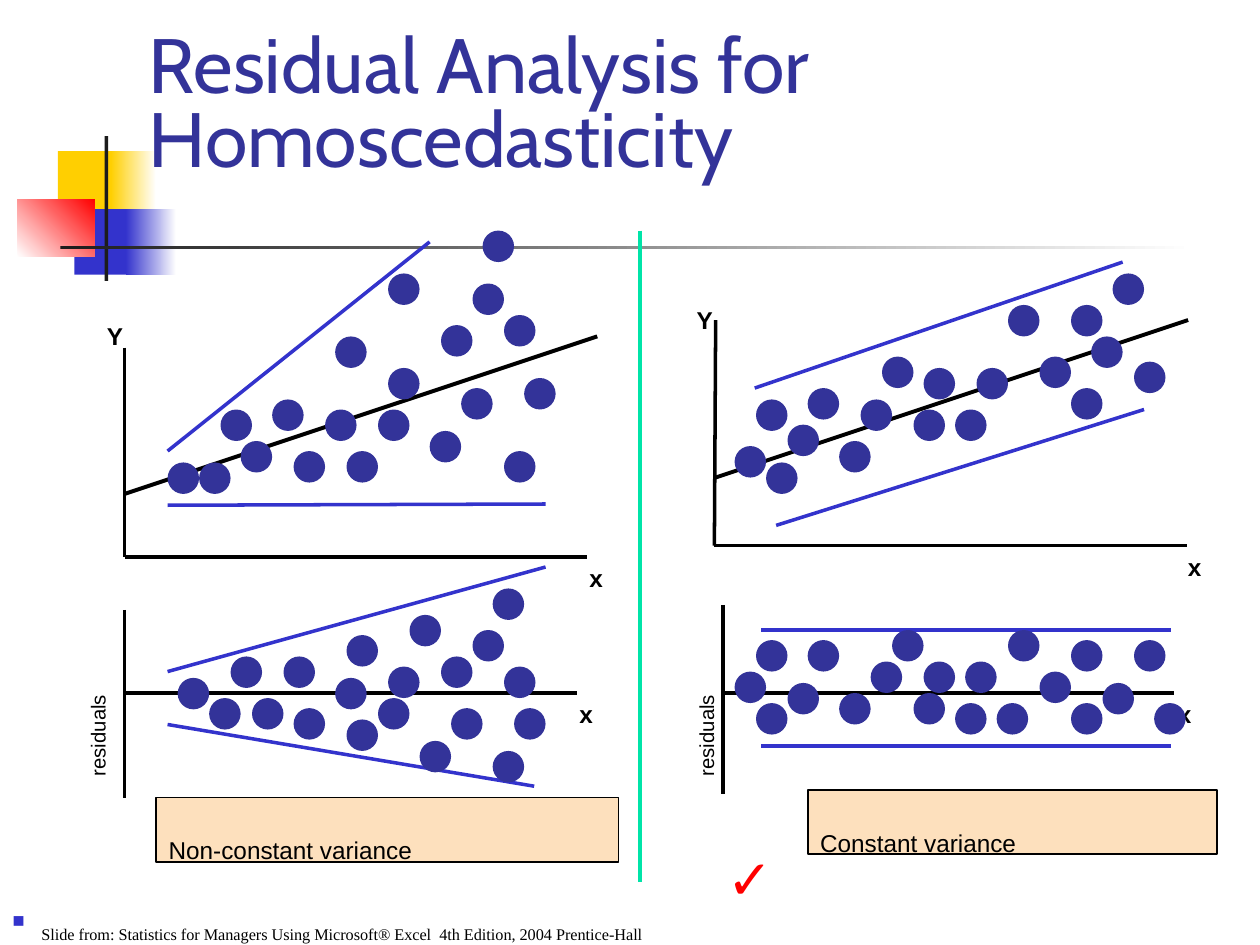
import pptx
import pptx.util
import pptx.dml.color
import pptx.enum.shapes
import pptx.enum.text
import lxml.etree
import pptx.oxml.ns

PX = 9144
DOT = 25
COLORS = {
    "gold": "FFCF01", "blue": "3333CC", "red": "FF0000", "white": "FFFFFF",
    "ink": "1C1C1C", "navy": "333399", "black": "000000", "peach": "FDE0BD",
    "mint": "00E4A8",
}
RGB = {name: pptx.dml.color.RGBColor.from_string(value) for name, value in COLORS.items()}
RECTANGLE = pptx.enum.shapes.MSO_SHAPE.RECTANGLE
OVAL = pptx.enum.shapes.MSO_SHAPE.OVAL
qn = pptx.oxml.ns.qn

deck = pptx.Presentation()
deck.slide_width = 1000 * PX
deck.slide_height = 750 * PX
slide = deck.slides.add_slide(deck.slide_layouts[5])
shapes = slide.shapes


def draw_line(x1, y1, x2, y2, color, width=2):
    line = shapes.add_connector(
        pptx.enum.shapes.MSO_CONNECTOR.STRAIGHT, x1 * PX, y1 * PX, x2 * PX, y2 * PX)
    line.line.color.rgb = RGB[color]
    line.line.width = pptx.util.Pt(width)
    lxml.etree.SubElement(line.element.spPr, qn("a:effectLst"))


def write(holder, text, size, color="black", bold=False, font="Arial"):
    frame = holder.text_frame
    frame.word_wrap = True
    frame.vertical_anchor = pptx.enum.text.MSO_ANCHOR.TOP
    paragraph = frame.paragraphs[0]
    paragraph.alignment = pptx.enum.text.PP_ALIGN.LEFT
    run = paragraph.add_run()
    run.text = text
    run.font.size = pptx.util.Pt(size)
    run.font.name = font
    run.font.bold = bold
    run.font.color.rgb = RGB[color]
    run.font._element.set("baseline", "-33000")
    return paragraph


for left, top, width, height, start, end in [
    (46, 120, 48, 52, "gold", "gold"),
    (88, 120, 36, 52, "gold", "white"),
    (59, 166, 46, 52, "blue", "blue"),
    (100, 166, 40, 52, "blue", "white"),
    (14, 158, 61, 46, "white", "red"),
    (83, 108, 3, 115, "ink", "ink"),
    (48, 195, 900, 3, "ink", "white"),
]:
    ornament = shapes.add_shape(RECTANGLE, left * PX, top * PX, width * PX, height * PX)
    ornament.shadow.inherit = False
    ornament.line.fill.background()
    if start == end:
        ornament.fill.solid()
        ornament.fill.fore_color.rgb = RGB[start]
    else:
        ornament.fill.gradient()
        ornament.fill.gradient_angle = 45 if end == "red" else 0
        for position, color in enumerate((start, end)):
            stop = ornament.fill.gradient_stops[position]
            stop.color.rgb = RGB[color]
            stop.position = position

title = shapes.title
shapes.element.append(title.element)
title.left, title.top, title.width, title.height = 108 * PX, 33 * PX, 852 * PX, 117 * PX
title.text_frame.vertical_anchor = pptx.enum.text.MSO_ANCHOR.BOTTOM
title.text_frame.auto_size = pptx.enum.text.MSO_AUTO_SIZE.NONE
heading = title.text_frame.paragraphs[0]
heading.alignment = pptx.enum.text.PP_ALIGN.LEFT
heading.line_spacing = 0.8
for part in ("Residual Analysis for ", "Homoscedasticity"):
    if heading.runs:
        heading.add_line_break()
    run = heading.add_run()
    run.text = part
    run.font.size = pptx.util.Pt(44)
    run.font.name = "Cabin"
    run.font.color.rgb = RGB["navy"]

for left, top, width, caption in [
    (124, 633, 367, "Non-constant variance"),
    (641, 627, 325, "Constant variance"),
]:
    verdict = shapes.add_shape(RECTANGLE, left * PX, top * PX, width * PX, 51 * PX)
    verdict.shadow.inherit = False
    verdict.fill.solid()
    verdict.fill.fore_color.rgb = RGB["peach"]
    verdict.line.color.rgb = RGB["black"]
    verdict.line.width = pptx.util.Pt(1)
    write(verdict, caption, 24)

check = shapes.add_textbox(567 * PX, 609 * PX, 100 * PX, 100 * PX)
write(check, "✓", 54, "red")

panels = [
    {
        "axes": [(99, 484, 99, 633), (99, 550, 458, 550)],
        "bounds": [(133, 533, 433, 450), (133, 575, 424, 624)],
        "labels": [("x", 450, 525)],
        "first column": 133,
        "dots": {
            467: "...............................o",
            488: ".......................o",
            500: ".............................o",
            504: ".................o",
            521: "......o....o..............o",
            529: ".....................o..........o",
            538: ".o..............o",
            554: "....o...o...........o",
            562: "............o..............o.....o",
            571: ".................o",
            588: "........................o",
            596: "...............................o",
        },
    },
    {
        "axes": [(574, 550, 932, 550), (574, 480, 574, 630)],
        "bounds": [(604, 500, 929, 500), (604, 592, 929, 592)],
        "labels": [("x", 925, 525)],
        "first column": 583,
        "dots": {
            500: "...............o..........o",
            508: "..o....o........................o.....o",
            525: ".............o....o...o",
            533: "o............................o",
            542: ".....o.............................o",
            550: "..........o......o",
            558: "..o..................o...o......o.......o",
        },
    },
    {
        "axes": [(99, 276, 99, 442), (99, 442, 466, 442)],
        "fit": (99, 392, 474, 267),
        "bounds": [(133, 358, 341, 192), (133, 401, 433, 400)],
        "labels": [("Y", 75, 225), ("x", 458, 417)],
        "first column": 133,
        "dots": {
            183: "..............................o",
            217: ".....................o",
            225: ".............................o",
            250: "................................o",
            258: "..........................o",
            267: "................o",
            292: ".....................o",
            300: "..................................o",
            308: "............................o",
            317: "..........o",
            325: ".....o.........o....o",
            342: ".........................o",
            350: ".......o",
            358: "............o....o..............o",
            367: "o..o",
        },
    },
    {
        "axes": [(568, 254, 567, 433), (567, 433, 942, 433)],
        "fit": (568, 379, 943, 254),
        "bounds": [(599, 308, 891, 208), (616, 417, 908, 325)],
        "labels": [("Y", 543, 212), ("x", 933, 408)],
        "first column": 583,
        "dots": {
            217: "....................................o",
            242: "..........................o.....o",
            267: "..................................o",
            283: "..............o..............o",
            287: "......................................o",
            292: "..................o....o",
            308: ".......o........................o",
            317: "..o.........o",
            325: ".................o...o",
            337: ".....o",
            350: "..........o",
            354: "o",
            367: "...o",
        },
    },
]
for panel in panels:
    for axis in panel["axes"]:
        draw_line(*axis, "black")
    if "fit" in panel:
        draw_line(*panel["fit"], "black", 2.25)
    for bound in panel["bounds"]:
        draw_line(*bound, "blue")
    for letter, left, top in panel["labels"]:
        axis_label = shapes.add_textbox(left * PX, top * PX, 50 * PX, 50 * PX)
        write(axis_label, letter, 24, bold=True)
    for top, row in panel["dots"].items():
        for column, mark in enumerate(row):
            if mark == "o":
                left = panel["first column"] + round(column * DOT / 3)
                dot = shapes.add_shape(OVAL, left * PX, top * PX, DOT * PX, DOT * PX)
                dot.shadow.inherit = False
                dot.fill.solid()
                dot.fill.fore_color.rgb = RGB["navy"]
                dot.line.fill.background()

for left in (-8, 475):
    residuals = shapes.add_textbox(left * PX, 533 * PX, 143 * PX, 43 * PX)
    residuals.rotation = 270
    write(residuals, "residuals", 20)
draw_line(508, 183, 508, 700, "mint", 2.25)

source = shapes.add_textbox(0, 712 * PX, 859 * PX, 37 * PX)
citation = write(
    source,
    "Slide from: Statistics for Managers Using Microsoft® Excel  4th Edition, 2004 Prentice-Hall",
    16, font="Times New Roman")
bullet = citation._p.get_or_add_pPr()
bullet.set("marL", str(23 * PX))
bullet.set("indent", str(-23 * PX))
bullet_color = lxml.etree.SubElement(bullet, qn("a:buClr"))
lxml.etree.SubElement(bullet_color, qn("a:srgbClr"), val=COLORS["blue"])
lxml.etree.SubElement(bullet, qn("a:buSzPct"), val="60000")
lxml.etree.SubElement(bullet, qn("a:buChar"), char="■")

deck.save("out.pptx")
